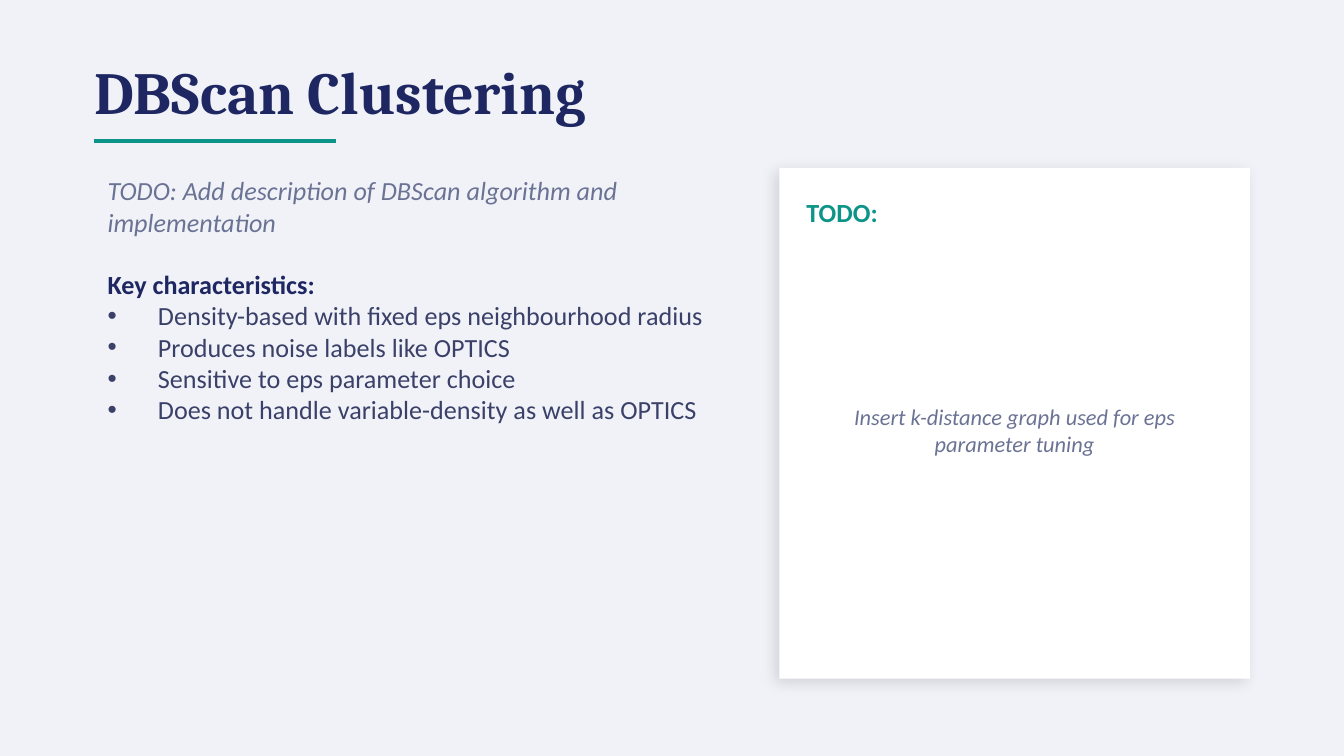
"""Build the DBScan Clustering slide."""
from lxml.etree import SubElement
from pptx import Presentation
from pptx.dml.color import RGBColor
from pptx.enum.shapes import MSO_CONNECTOR as Connector, MSO_SHAPE as Shape
from pptx.enum.text import MSO_ANCHOR as Anchor, MSO_AUTO_SIZE as AutoSize, PP_ALIGN as Align
from pptx.oxml.ns import qn
from pptx.util import Inches, Pt

NAVY, TEAL, GREY, SLATE = "1E2761", "0D9488", "6B7394", "3A4068"
TRAITS = [
    "Density-based with fixed eps neighbourhood radius",
    "Produces noise labels like OPTICS",
    "Sensitive to eps parameter choice",
    "Does not handle variable-density as well as OPTICS",
]


def color(hex_code):
    """Return the colour for a hex string."""
    return RGBColor.from_string(hex_code)


def place(shape, left, top, width, height):
    """Move and size a shape, in inches."""
    shape.left, shape.top = Inches(left), Inches(top)
    shape.width, shape.height = Inches(width), Inches(height)


def style(para, text, size, hex_code, face="Calibri", bold=False, italic=False, align=Align.LEFT):
    """Fill a paragraph and set its font."""
    para.text = text
    para.alignment = align
    font = para.font
    font.name, font.size = face, Pt(size)
    font.bold, font.italic = bold, italic
    font.color.rgb = color(hex_code)


def format_frame(frame, anchor, inset):
    """Set wrapping, anchor and, if asked, zero insets."""
    frame.word_wrap = True
    frame.auto_size = AutoSize.NONE
    frame.vertical_anchor = anchor
    if not inset:
        frame.margin_left = frame.margin_right = frame.margin_top = frame.margin_bottom = 0


def set_bullet(para, bullet=None):
    """Give a paragraph a hanging bullet, or none."""
    props = para._p.get_or_add_pPr()
    indent = Pt(27) if bullet else 0
    props.set("marL", str(indent))
    props.set("indent", str(-indent))
    if bullet:
        SubElement(props, qn("a:buChar")).set("char", bullet)
    else:
        SubElement(props, qn("a:buNone"))


def add_title(page, text):
    """Fill the title placeholder."""
    title = page.shapes.title
    place(title, 0.7, 0.35, 8, 0.65)
    format_frame(title.text_frame, Anchor.MIDDLE, inset=False)
    style(title.text_frame.paragraphs[0], text, 32, NAVY, face="Cambria", bold=True)


def add_rule(page):
    """Draw the line under the title."""
    rule = page.shapes.add_connector(
        Connector.STRAIGHT, Inches(0.7), Inches(1.05), Inches(2.5), Inches(1.05))
    rule.line.color.rgb = color(TEAL)
    rule.line.width = Pt(2.5)
    SubElement(rule._element.spPr, qn("a:effectLst"))


def add_body(page):
    """Fill the body placeholder with the description and traits."""
    body = page.placeholders[1]
    place(body, 0.7, 1.25, 4.8, 3.5)
    frame = body.text_frame
    format_frame(frame, Anchor.TOP, inset=True)
    rows = [
        ("TODO: Add description of DBScan algorithm and implementation", GREY, None, 0),
        ("Key characteristics:", NAVY, None, 16.5),
    ] + [(trait, SLATE, "•", 0) for trait in TRAITS]
    for index, (text, hex_code, bullet, gap) in enumerate(rows):
        para = frame.add_paragraph() if index else frame.paragraphs[0]
        para.space_before = Pt(gap)
        set_bullet(para, bullet)
        style(para, text, 14, hex_code, bold=hex_code == NAVY, italic=hex_code == GREY)


def add_card(page):
    """Draw the white card with a soft shadow."""
    card = page.shapes.add_shape(
        Shape.RECTANGLE, Inches(5.8), Inches(1.25), Inches(3.5), Inches(3.8))
    card.fill.solid()
    card.fill.fore_color.rgb = color("FFFFFF")
    card.line.fill.background()
    card.shadow.inherit = False
    effects = card._element.spPr.find(qn("a:effectLst"))
    shadow = SubElement(effects, qn("a:outerShdw"), blurRad=str(Pt(8)), dist=str(Pt(3)),
                        dir=str(135 * 60000), algn="bl", rotWithShape="0")
    shade = SubElement(shadow, qn("a:srgbClr"), val="000000")
    SubElement(shade, qn("a:alpha"), val="12000")


def add_label(page, text, top, height, size, hex_code, **look):
    """Add a text box on the card."""
    box = page.shapes.add_textbox(Inches(6), Inches(top), Inches(3.1), Inches(height))
    format_frame(box.text_frame, Anchor.MIDDLE, inset=False)
    style(box.text_frame.paragraphs[0], text, size, hex_code, **look)


def main():
    """Build and save the deck in 16:9."""
    deck = Presentation()
    deck.slide_width = Inches(10)
    deck.slide_height = Inches(10) * 9 // 16
    page = deck.slides.add_slide(deck.slide_layouts[1])
    page.background.fill.solid()
    page.background.fill.fore_color.rgb = color("F0F2F8")
    add_title(page, "DBScan Clustering")
    add_rule(page)
    add_body(page)
    add_card(page)
    add_label(page, "TODO:", 1.4, 0.35, 14, TEAL, bold=True)
    add_label(page, "Insert k-distance graph used for eps parameter tuning", 1.8, 2.8, 12, GREY,
              italic=True, align=Align.CENTER)
    deck.save("out.pptx")


if __name__ == "__main__":
    main()
